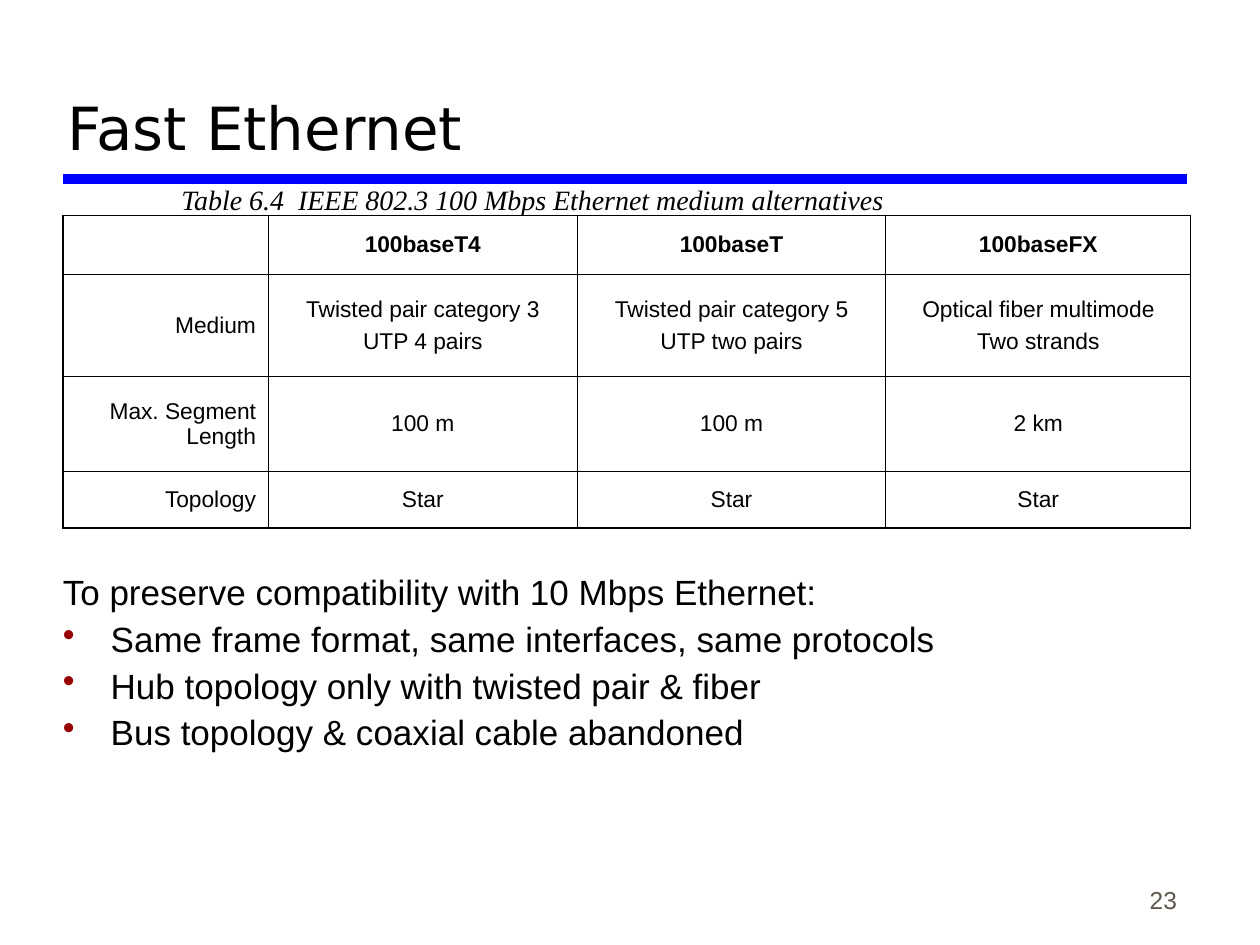
from dataclasses import dataclass

import pptx
import pptx.dml.color
import pptx.enum.shapes
import pptx.enum.text
import pptx.oxml
import pptx.oxml.ns
import pptx.util
from lxml import etree

ALIGN = pptx.enum.text.PP_ALIGN
ANCHOR = pptx.enum.text.MSO_ANCHOR


@dataclass(frozen=True)
class Theme:
    ink: str = "000000"
    rule: str = "0000FF"
    bullet: str = "990000"
    muted: str = "5E574E"
    sans: str = "Arial"
    heading: str = "DejaVu Sans"
    serif: str = "Times New Roman"
    title_size: float = 34
    body_size: float = 20
    caption_size: float = 16
    number_size: float = 14
    cell_size: float = 13
    outer_line: float = 1.08
    inner_line: float = 0.45


THEME = Theme()
# The page grid: 100 columns by 75 rows of square units
COLUMNS, ROWS = 100, 75
UNIT = pptx.util.Inches(10) // COLUMNS

TABLE_COLUMNS = [16.3, 24.5, 24.5, 24.2]
TABLE_ROWS = [4.7, 8.1, 7.5, 4.5]
MEDIA = [
    ["", "100baseT4", "100baseT", "100baseFX"],
    ["Medium", "Twisted pair category 3\nUTP 4 pairs",
     "Twisted pair category 5\nUTP two pairs",
     "Optical fiber multimode\nTwo strands"],
    ["Max. Segment Length", "100 m", "100 m", "2 km"],
    ["Topology", "Star", "Star", "Star"],
]
BODY_LEAD = "To preserve compatibility with 10 Mbps Ethernet:"
BODY_POINTS = [
    "Same frame format, same interfaces, same protocols",
    "Hub topology only with twisted pair & fiber",
    "Bus topology & coaxial cable abandoned",
]


def grid(count):
    """Length of a number of grid units."""
    return pptx.util.Emu(round(count * UNIT))


def color(code):
    return pptx.dml.color.RGBColor.from_string(code)


def add_element(parent, tag, **attributes):
    child = etree.SubElement(parent, pptx.oxml.ns.qn(tag))
    for name, value in attributes.items():
        child.set(name, str(value))
    return child


def write(frame, text, size=THEME.body_size, font=THEME.sans, ink=THEME.ink,
          bold=False, italic=False, align=ALIGN.LEFT, before=0, spacing=None,
          hang=0, bullets_from=None):
    """Fill a text frame, one paragraph for each line of text."""
    for index, line in enumerate(text.split("\n")):
        para = frame.add_paragraph() if index else frame.paragraphs[0]
        para.alignment = align
        if spacing:
            para.line_spacing = spacing
        para.space_before = pptx.util.Pt(before if index else 0)
        if hang:
            properties = para._p.get_or_add_pPr()
            properties.set("marL", str(grid(hang)))
            properties.set("indent", str(-grid(hang)))
            if bullets_from is not None and index >= bullets_from:
                tint = add_element(properties, "a:buClr")
                add_element(tint, "a:srgbClr", val=THEME.bullet)
                add_element(properties, "a:buChar", char="•")
            else:
                add_element(properties, "a:buNone")
        span = para.add_run()
        span.text = line
        span.font.size = pptx.util.Pt(size)
        span.font.name = font
        span.font.bold = bold
        span.font.italic = italic
        span.font.color.rgb = color(ink)


def add_text(page, area, text, anchor=ANCHOR.TOP, wrap=True, **style):
    box = page.shapes.add_textbox(*map(grid, area))
    box.text_frame.word_wrap = wrap
    box.text_frame.vertical_anchor = anchor
    write(box.text_frame, text, **style)


def add_rule(page, left, right, top, ink, width):
    rule = page.shapes.add_connector(
        pptx.enum.shapes.MSO_CONNECTOR.STRAIGHT,
        grid(left), grid(top), grid(right), grid(top))
    rule.line.color.rgb = color(ink)
    rule.line.width = pptx.util.Pt(width)
    add_element(rule._element.spPr, "a:effectLst")


def border_cell(cell, outer_sides):
    """Draw thick lines on the table's outer sides, thin ones elsewhere."""
    properties = cell._tc.get_or_add_tcPr()
    for side in "LRTB":
        width = THEME.outer_line if side in outer_sides else THEME.inner_line
        line = add_element(properties, f"a:ln{side}", w=pptx.util.Pt(width))
        fill = add_element(line, "a:solidFill")
        add_element(fill, "a:srgbClr", val=THEME.ink)


def add_grid_table(page, left, top, columns, rows, content):
    table = page.shapes.add_table(
        len(rows), len(columns), grid(left), grid(top),
        grid(sum(columns)), grid(sum(rows))).table
    table.first_row = table.horz_banding = False
    for column, width in zip(table.columns, columns):
        column.width = grid(width)
    for row, height in zip(table.rows, rows):
        row.height = grid(height)
    last_row, last_column = len(rows) - 1, len(columns) - 1
    for r, texts in enumerate(content):
        for c, text in enumerate(texts):
            cell = table.cell(r, c)
            edges = {"L": c == 0, "R": c == last_column,
                     "T": r == 0, "B": r == last_row}
            border_cell(cell, [side for side, outer in edges.items() if outer])
            cell.fill.background()
            cell.vertical_anchor = ANCHOR.MIDDLE
            if text:
                write(cell.text_frame, text, size=THEME.cell_size,
                      bold=r == 0, before=3.3,
                      align=ALIGN.CENTER if c else ALIGN.RIGHT)


def main():
    deck = pptx.Presentation()
    deck.slide_width, deck.slide_height = grid(COLUMNS), grid(ROWS)
    page = deck.slides.add_slide(deck.slide_layouts[6])

    # Heading with its rule, and the page number
    add_rule(page, 5, 94.2, 14.2, THEME.rule, 6)
    add_text(page, (73.6, 68.1, 20.8, 5), "23", anchor=ANCHOR.BOTTOM,
             size=THEME.number_size, ink=THEME.muted, align=ALIGN.RIGHT)
    add_text(page, (4.4, 1.7, 89.7, 11.7), "Fast Ethernet",
             anchor=ANCHOR.BOTTOM, size=THEME.title_size, font=THEME.heading)

    # Table of media and its caption
    add_grid_table(page, 5, 17.1, TABLE_COLUMNS, TABLE_ROWS, MEDIA)
    add_text(page, (13.4, 14, 57.9, 3.7),
             "Table 6.4  IEEE 802.3 100 Mbps Ethernet medium alternatives",
             anchor=ANCHOR.MIDDLE, wrap=False, size=THEME.caption_size,
             font=THEME.serif, italic=True)

    # Compatibility points
    add_text(page, (4, 45.2, 93.2, 18.8), "\n".join([BODY_LEAD, *BODY_POINTS]),
             before=5, spacing=0.9, hang=3.8, bullets_from=1)

    deck.save("out.pptx")


if __name__ == "__main__":
    main()
